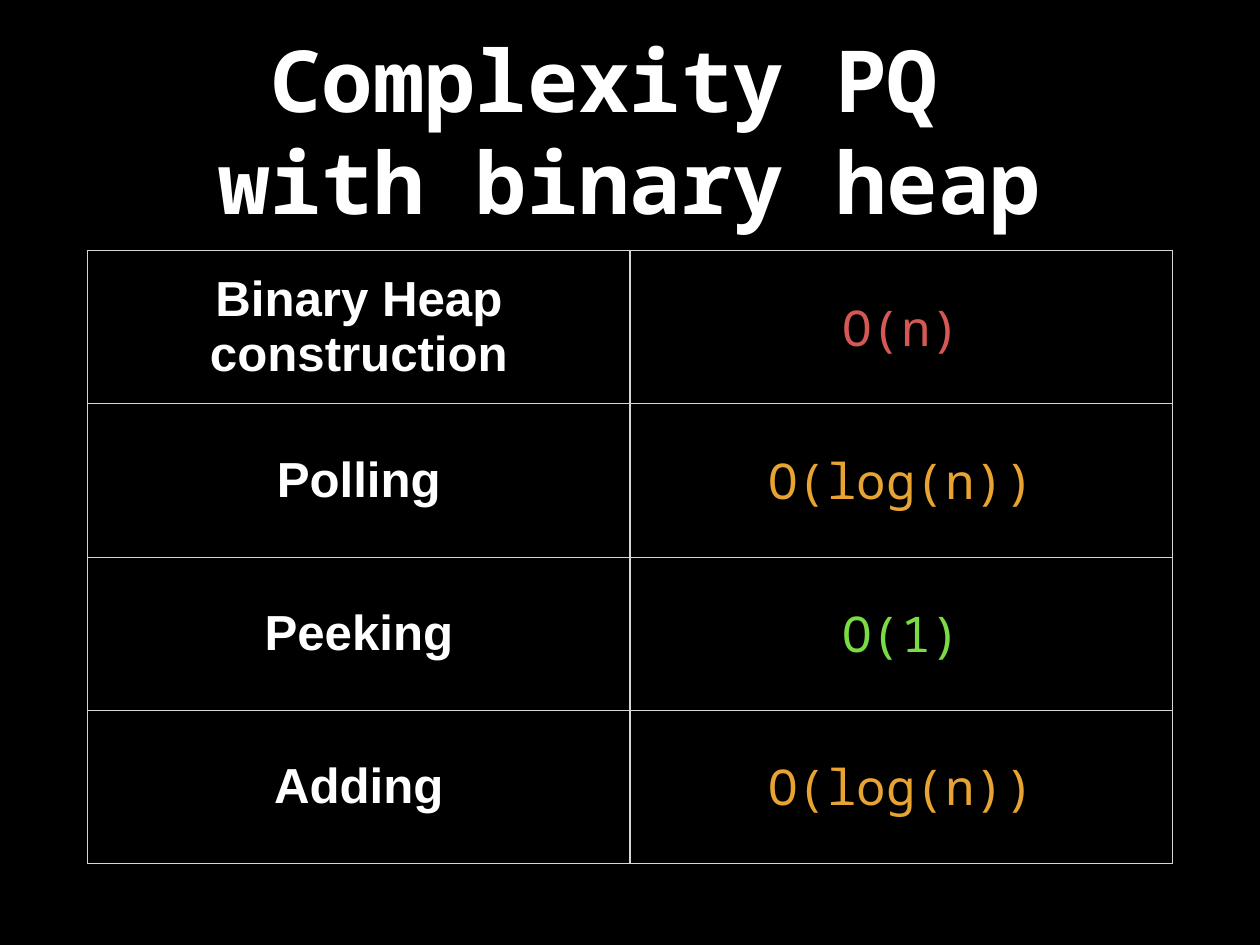
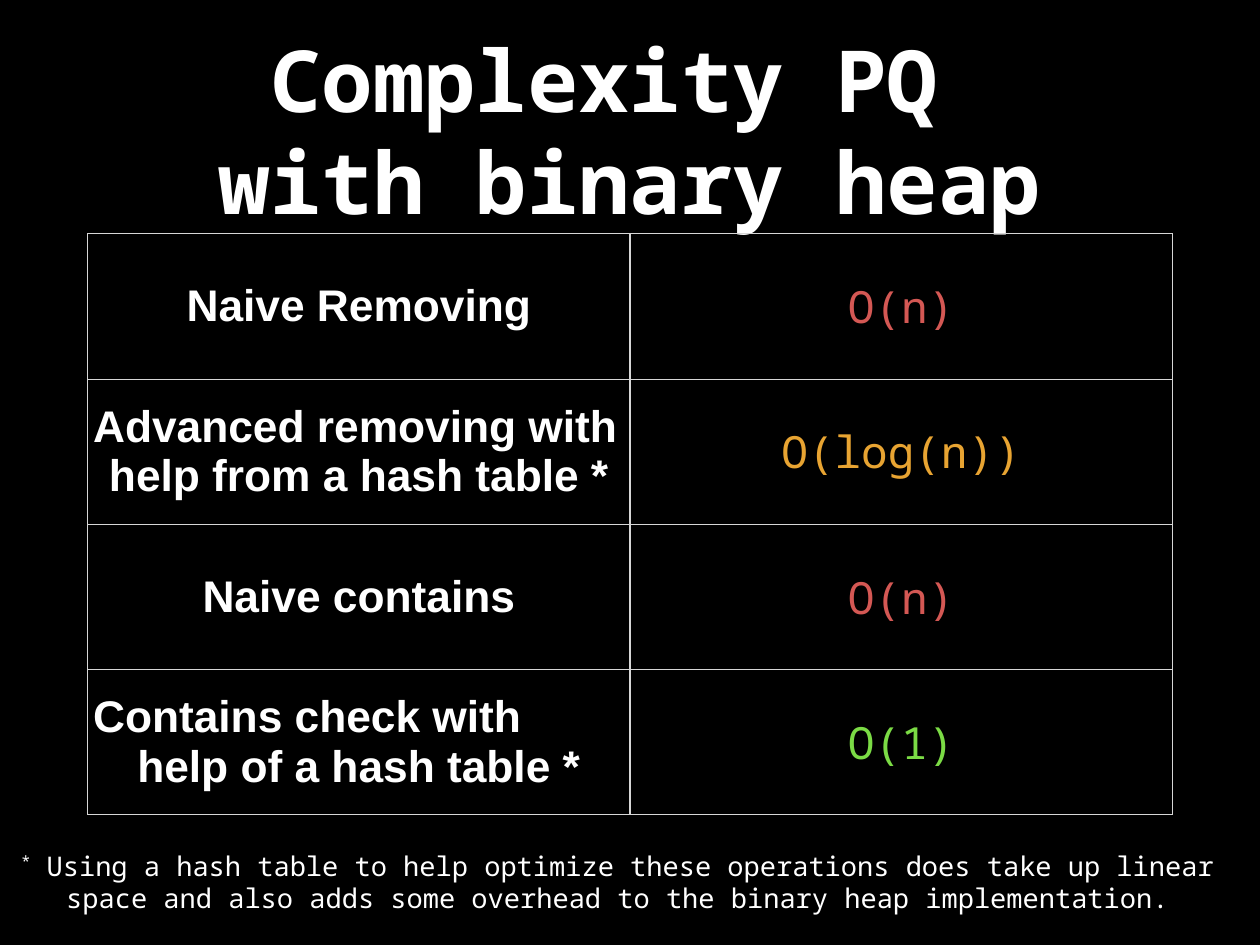
from itertools import product
from lxml.etree import SubElement
from pptx import Presentation
from pptx.dml.color import RGBColor
from pptx.enum.text import MSO_ANCHOR, MSO_AUTO_SIZE, PP_ALIGN
from pptx.oxml.ns import qn
from pptx.util import Pt

BLACK = RGBColor(0x00, 0x00, 0x00)
WHITE = RGBColor(0xFF, 0xFF, 0xFF)
RED = RGBColor(0xD4, 0x58, 0x54)
AMBER = RGBColor(0xE8, 0xA4, 0x32)
GREEN = RGBColor(0x7B, 0xDB, 0x45)
GRAY = RGBColor(0xD6, 0xD6, 0xD6)
MONO, SANS = "Noto Sans Mono", "Arial"
PX = 9144
INSET = 6

TITLE = ["Complexity PQ ", "with binary heap"]
COSTS = {"O(n)": RED, "O(log(n))": AMBER, "O(1)": GREEN}
NOTE = [("*", " Using a hash table to help optimize these operations does take up linear space "
         "and also adds some overhead to the binary heap implementation.")]
SLIDES = [
    {"top": 283, "row": 173, "size": 40, "note": None, "rows": [
        (["Binary Heap construction"], "O(n)"),
        (["Polling"], "O(log(n))"),
        (["Peeking"], "O(1)"),
        (["Adding"], "O(log(n))")]},
    {"top": 264, "row": 164, "size": 36, "note": NOTE, "rows": [
        (["Naive Removing"], "O(n)"),
        (["Advanced removing with ", "help from a hash table *"], "O(log(n))"),
        (["Naive contains"], "O(n)"),
        (["Contains check with", "help of a hash table *"], "O(1)")]},
]


def px(*nums):
    return [num * PX for num in nums]


def put(frame, lines, size, font=MONO, color=WHITE, bold=False, first=PP_ALIGN.CENTER):
    for i, line in enumerate(lines):
        para = frame.paragraphs[0] if i == 0 else frame.add_paragraph()
        para.alignment = first if i == 0 else PP_ALIGN.CENTER
        for part in [line] if isinstance(line, str) else line:
            run = para.add_run()
            run.text = part
            run.font.size = Pt(size)
            run.font.name = font
            run.font.bold = bold
            run.font.color.rgb = color
            if part == "*":
                run.font._element.set("baseline", "32000")


def pad(item, left=INSET, right=INSET):
    item.margin_left, item.margin_right = px(left, right)
    item.margin_top = item.margin_bottom = INSET * PX
    item.vertical_anchor = MSO_ANCHOR.MIDDLE


def edge(cell):
    props = cell._tc.get_or_add_tcPr()
    for side in "LRTB":
        line = SubElement(props, qn(f"a:ln{side}"), w=str(Pt(1)))
        fill = SubElement(line, qn("a:solidFill"))
        SubElement(fill, qn("a:srgbClr"), val=str(GRAY))


def grid(slide, top, row, size, rows):
    frame = slide.shapes.add_table(len(rows), 2, *px(99, top, 1224, row * len(rows)))
    table = frame.table
    table.first_row = table.horz_banding = False
    for r, c in product(range(len(rows)), range(2)):
        cell = table.cell(r, c)
        pad(cell)
        edge(cell)
        cell.fill.background()
        name, cost = rows[r]
        if c == 0:
            first = PP_ALIGN.LEFT if len(name) > 1 else PP_ALIGN.CENTER
            put(cell.text_frame, name, size, SANS, bold=True, first=first)
        else:
            put(cell.text_frame, [cost], size, color=COSTS[cost])


def head(slide):
    title = slide.shapes.title
    title.left, title.top, title.width, title.height = px(104, 28, 1214, 236)
    frame = title.text_frame
    frame.auto_size = MSO_AUTO_SIZE.NONE
    pad(frame)
    put(frame, TITLE, 69.6, bold=True)


def foot(slide, note):
    frame = slide.shapes.add_textbox(*px(18, 955, 1386, 81)).text_frame
    frame.word_wrap = True
    pad(frame, left=0, right=28)
    put(frame, note, 22)


def main():
    deck = Presentation()
    deck.slide_width, deck.slide_height = px(1422, 1067)
    back = deck.slide_master.background.fill
    back.solid()
    back.fore_color.rgb = BLACK
    for data in SLIDES:
        slide = deck.slides.add_slide(deck.slide_layouts[5])
        head(slide)
        grid(slide, data["top"], data["row"], data["size"], data["rows"])
        if data["note"]:
            foot(slide, data["note"])
    deck.save("out.pptx")


if __name__ == "__main__":
    main()
